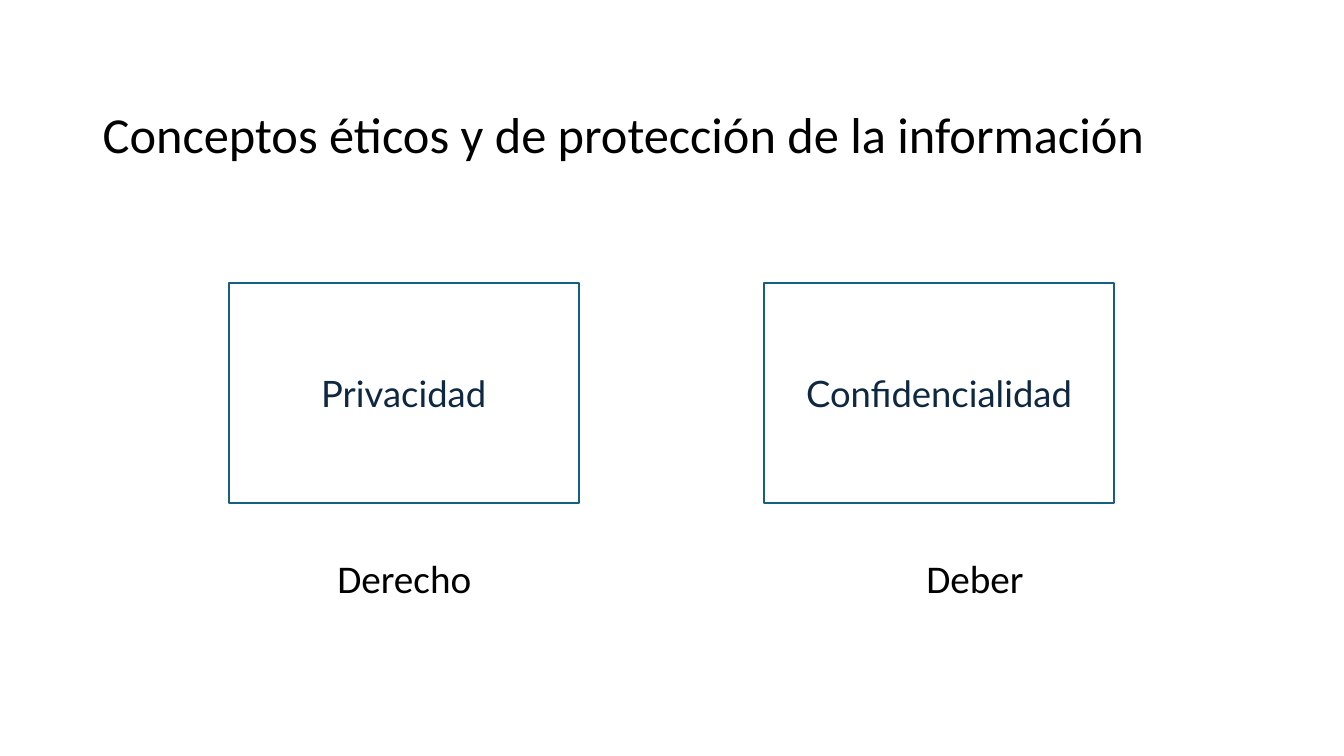
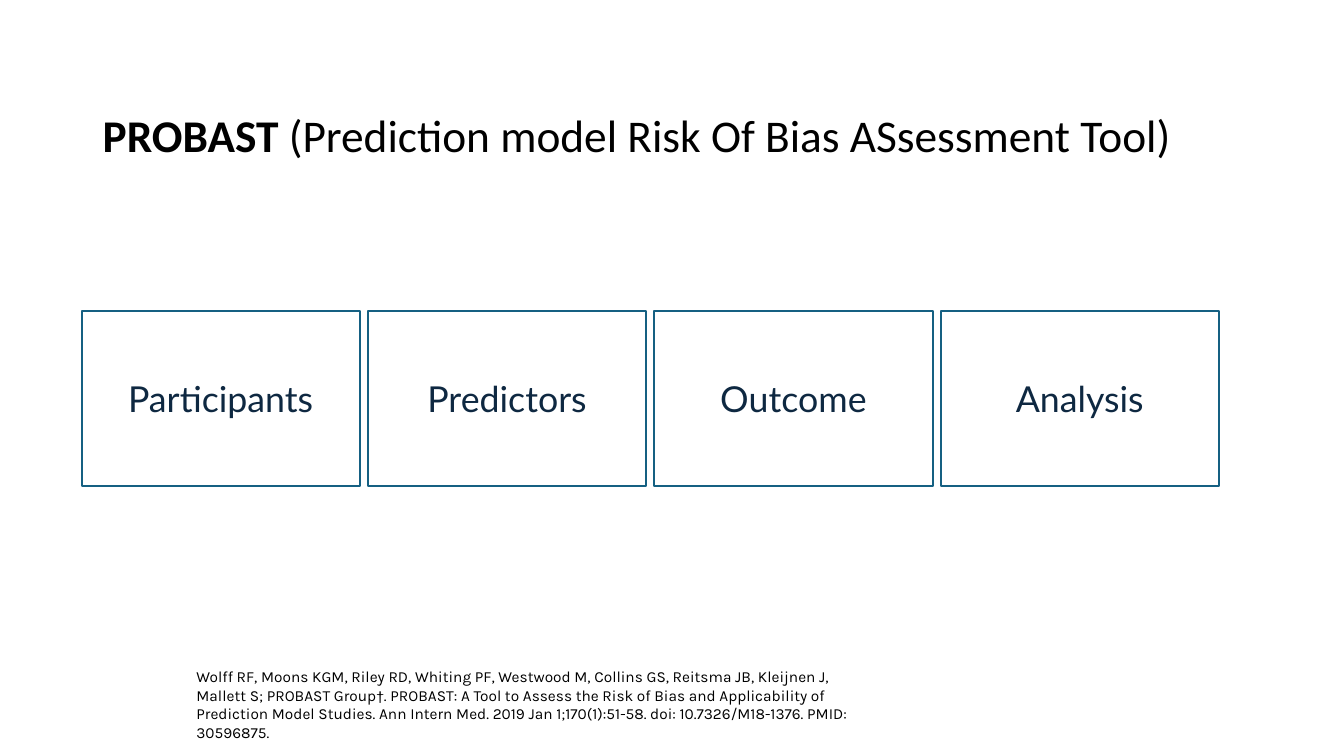
import pptx
import pptx.dml.color
import pptx.enum.shapes
import pptx.enum.text
import pptx.util

EMU_PER_PX = 9144
SLIDE_WIDTH, SLIDE_HEIGHT = 1333, 750

BLACK = pptx.dml.color.RGBColor(0x00, 0x00, 0x00)
WHITE = pptx.dml.color.RGBColor(0xFF, 0xFF, 0xFF)
TEAL = pptx.dml.color.RGBColor(0x15, 0x60, 0x82)
NAVY = pptx.dml.color.RGBColor(0x0E, 0x28, 0x41)

LEFT = pptx.enum.text.PP_ALIGN.LEFT
CENTER = pptx.enum.text.PP_ALIGN.CENTER
TOP = pptx.enum.text.MSO_ANCHOR.TOP
MIDDLE = pptx.enum.text.MSO_ANCHOR.MIDDLE

TITLE_FORMAT = {"name": "Calibri", "size": 36, "color": BLACK}
BOX_FORMAT = {"name": "Lato", "size": 26, "color": NAVY}
CAPTION_FORMAT = {"name": "Calibri", "size": 28, "color": BLACK}
CITATION_FORMAT = {"name": "Karla", "size": 11, "color": BLACK}

CITATION = (
    "Wolff RF, Moons KGM, Riley RD, Whiting PF, Westwood M, Collins GS, "
    "Reitsma JB, Kleijnen J, Mallett S; PROBAST Group†. PROBAST: A Tool to "
    "Assess the Risk of Bias and Applicability of Prediction Model Studies. "
    "Ann Intern Med. 2019 Jan 1;170(1):51-58. doi: 10.7326/M18-1376. "
    "PMID: 30596875."
)


def px(length):
    """Turn a length in px into EMU."""
    return pptx.util.Emu(length * EMU_PER_PX)


def format_font(font, values):
    """Set the font attributes named in a dict of format values."""
    for name, value in values.items():
        if name == "color":
            font.color.rgb = value
        else:
            setattr(font, name, pptx.util.Pt(value) if name == "size" else value)


def write_text(shape, runs, values, alignment, anchor, margin=5):
    """Write one paragraph of (text, extra format) runs and return it."""
    frame = shape.text_frame
    layout = {
        "word_wrap": True,
        "vertical_anchor": anchor,
        "margin_left": px(10),
        "margin_right": px(10),
        "margin_top": px(margin),
        "margin_bottom": px(margin),
    }
    for name, value in layout.items():
        setattr(frame, name, value)
    paragraph = frame.paragraphs[0]
    paragraph.alignment = alignment
    for text, extra in runs:
        run = paragraph.add_run()
        run.text = text
        format_font(run.font, {**values, **extra})
    return paragraph


def add_text(slide, bounds, runs, values, alignment=LEFT, anchor=TOP, margin=5):
    """Add a text box and return its paragraph."""
    shape = slide.shapes.add_textbox(*map(px, bounds))
    return write_text(shape, runs, values, alignment, anchor, margin)


def add_title(slide, runs, size=36):
    """Add the slide title."""
    values = {**TITLE_FORMAT, "size": size}
    paragraph = add_text(slide, (92, 88, 1150, 97), runs, values, anchor=MIDDLE)
    paragraph.line_spacing = 0.9


def add_box_row(slide, labels, bounds, step, size):
    """Add a row of equally spaced outlined boxes with centred labels."""
    left, top, width, height = bounds
    for index, label in enumerate(labels):
        shape = slide.shapes.add_shape(
            pptx.enum.shapes.MSO_SHAPE.FLOWCHART_PROCESS,
            *map(px, (left + index * step, top, width, height)),
        )
        shape.shadow.inherit = False
        shape.fill.solid()
        shape.fill.fore_color.rgb = WHITE
        shape.line.color.rgb = TEAL
        shape.line.width = pptx.util.Pt(1.5)
        values = {**BOX_FORMAT, "size": size}
        write_text(shape, [(label, {})], values, CENTER, MIDDLE)


def add_caption_row(slide, captions, bounds, step):
    """Add a row of equally spaced centred captions."""
    left, top, width, height = bounds
    for index, caption in enumerate(captions):
        add_text(slide, (left + index * step, top, width, height),
                 [(caption, {})], CAPTION_FORMAT, CENTER, margin=10)


def build_concepts(slide):
    """Build the slide that pairs privacy with confidentiality."""
    add_title(slide, [("Conceptos éticos y de protección de la información", {})])
    add_box_row(slide, ("Privacidad", "Confidencialidad"),
                (227, 281, 347, 218), 531, 26)
    add_caption_row(slide, ("Derecho", "Deber"), (283, 540, 236, 49), 566)


def build_probast(slide):
    """Build the slide with the four PROBAST domains."""
    add_title(slide, [
        ("PROBAST ", {"bold": True}),
        ("(Prediction model Risk Of Bias ASsessment Tool)", {"bold": False}),
    ], 32.4)
    add_text(slide, (185, 657, 667, 84), [(CITATION, {})], CITATION_FORMAT)
    add_box_row(slide, ("Participants", "Predictors", "Outcome", "Analysis"),
                (81, 309, 276, 173), 284, 25.5)


def main():
    """Build and save the presentation."""
    presentation = pptx.Presentation()
    presentation.slide_width = px(SLIDE_WIDTH)
    presentation.slide_height = px(SLIDE_HEIGHT)
    for build in (build_concepts, build_probast):
        build(presentation.slides.add_slide(presentation.slide_layouts[6]))
    presentation.save("out.pptx")


if __name__ == "__main__":
    main()
